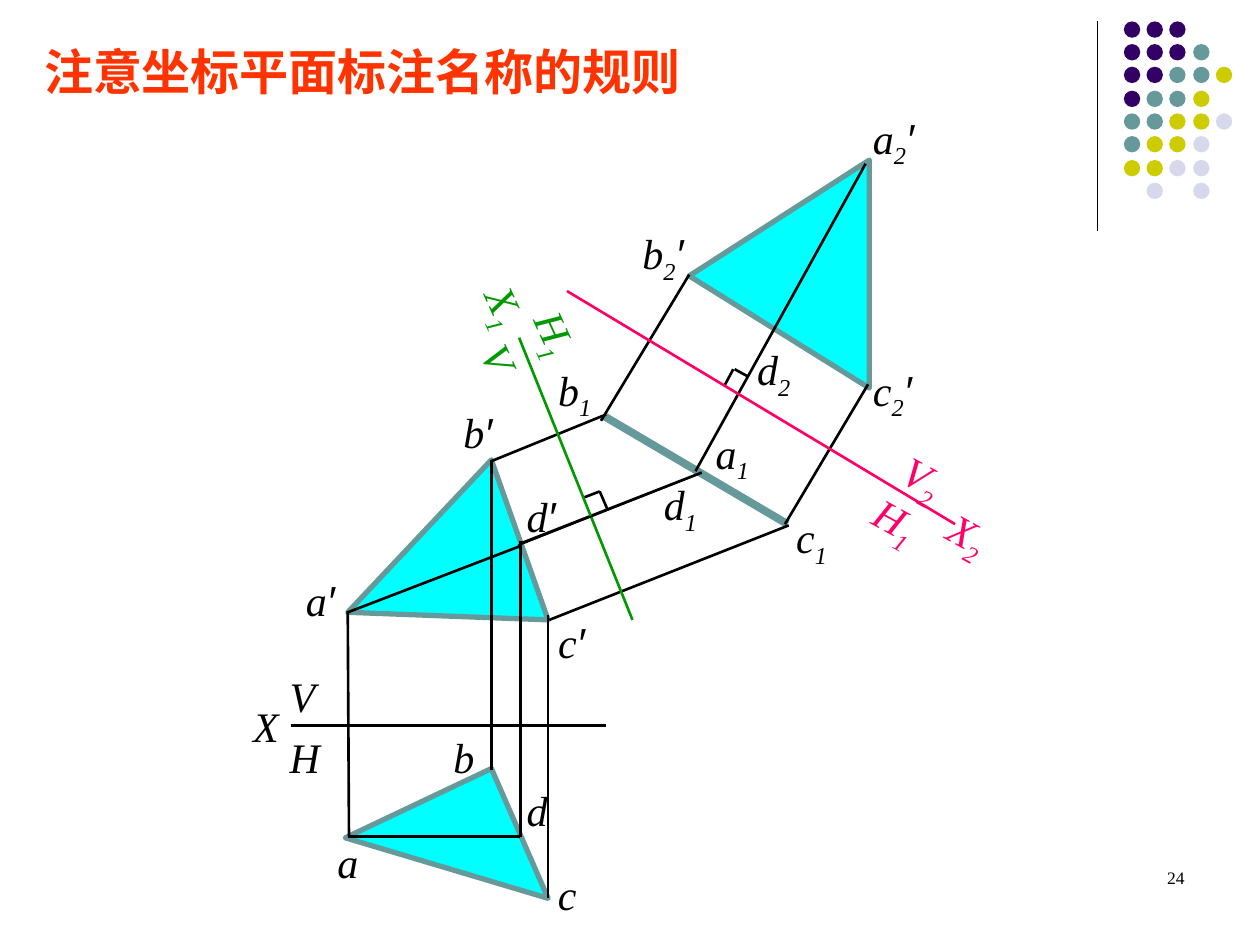
"""Build a slide on naming coordinate planes in successive projection changes."""
from typing import Any, NamedTuple

import pptx
import pptx.dml.color
import pptx.enum.shapes
import pptx.enum.text
import pptx.oxml.ns
import pptx.util
from lxml import etree

PX = 9144
COLORS = {
    "ink": "000000", "title": "FF3300", "face": "00FFFF", "edge": "669999",
    "first": "009900", "second": "FF0066",
    "P": "330066", "T": "669999", "Y": "CCCC00", "L": "D8D8EC",
}
DOT_ROWS = ["PPP", "PPPT", "PPTTY", "PTTY", "TTYYL", "TYYL", "YYLL", " L L"]
FRAME_FORMAT = {
    "word_wrap": True,
    "auto_size": pptx.enum.text.MSO_AUTO_SIZE.NONE,
    "vertical_anchor": pptx.enum.text.MSO_ANCHOR.TOP,
    "margin_left": 10 * PX, "margin_right": 10 * PX,
    "margin_top": 5 * PX, "margin_bottom": 5 * PX,
}
LABEL_FONT = {"name": "Times New Roman", "size": pptx.util.Pt(24), "italic": True}
PRIME_FONT = LABEL_FONT | {"name": "Arial"}
TITLE_FONT = {"name": "Arial", "size": pptx.util.Pt(28), "bold": True}
NUMBER_FONT = {"name": "Times New Roman", "size": pptx.util.Pt(10)}


class Segment(NamedTuple):
    x1: int
    y1: int
    x2: int
    y2: int
    color: str = "ink"
    weight: float = 1.5


class Label(NamedTuple):
    left: int
    top: int
    width: int
    letter: str
    index: str = ""
    prime: str = ""
    color: str = "ink"
    angle: float = 0
    inset: int = 10


TRIANGLES = [
    [(276, 486), (435, 492), (390, 365)],
    [(274, 665), (390, 610), (435, 713)],
    [(690, 127), (547, 219), (690, 308)],
]
SEGMENTS = [
    Segment(871, 17, 871, 183, weight=0.75),
    Segment(231, 576, 481, 576),
    Segment(276, 485, 277, 664),
    Segment(435, 488, 435, 713),
    Segment(390, 365, 390, 611),
    Segment(413, 429, 413, 664),
    Segment(276, 664, 413, 664),
    Segment(414, 433, 276, 486),
    Segment(479, 330, 625, 416, "edge", 4.5),
    Segment(414, 431, 557, 375),
    Segment(390, 366, 481, 329),
    Segment(436, 492, 626, 417),
    Segment(463, 395, 476, 390),
    Segment(476, 390, 482, 404),
    Segment(412, 268, 502, 492, "first"),
    Segment(411, 433, 555, 376, weight=1),
    Segment(623, 416, 689, 305),
    Segment(547, 218, 477, 334),
    Segment(552, 374, 687, 130),
    Segment(575, 306, 582, 293),
    Segment(583, 293, 594, 299),
    Segment(450, 231, 758, 416, "second"),
]
LABELS = [
    Label(233, 451, 99, "a", prime="′"),
    Label(425, 484, 61, "c", prime="′", inset=18),
    Label(191, 551, 89, "X"),
    Label(220, 527, 57, "V"),
    Label(220, 576, 57, "H"),
    Label(358, 318, 99, "b", prime="′"),
    Label(350, 576, 99, "b"),
    Label(258, 659, 50, "a"),
    Label(433, 684, 61, "c"),
    Label(400, 384, 61, "d", prime="′", inset=18),
    Label(400, 618, 61, "d", inset=18),
    Label(433, 284, 99, "b", "1", angle=359.6),
    Label(550, 334, 83, "a", "1", angle=359.6, inset=18),
    Label(622, 401, 61, "c", "1", angle=359.6),
    Label(517, 375, 83, "d", "1", angle=359.6),
    Label(363, 234, 89, "X", "1", color="first", angle=65.6),
    Label(402, 254, 89, "H", "1", color="first", angle=65.6),
    Label(372, 267, 56, "V", color="first", angle=65.6),
    Label(683, 84, 99, "a", "2", "′"),
    Label(683, 284, 92, "c", "2", "′"),
    Label(500, 176, 99, "b", "2", "′"),
    Label(591, 268, 75, "d", "2"),
    Label(740, 407, 89, "X", "2", color="second", angle=28.8),
    Label(704, 362, 89, "V", "2", color="second", angle=28.8),
    Label(682, 392, 74, "H", "1", color="second", angle=28.8),
]


def rgb(name: str) -> pptx.dml.color.RGBColor:
    """Look up a named colour."""
    return pptx.dml.color.RGBColor.from_string(COLORS[name])


def apply_format(target: Any, values: dict[str, Any]) -> None:
    """Set every attribute in the format values."""
    for attribute, value in values.items():
        setattr(target, attribute, value)


def add_run(paragraph: Any, text: str, font: dict[str, Any], color: str) -> Any:
    """Append one formatted run."""
    run = paragraph.add_run()
    run.text = text
    apply_format(run.font, font)
    run.font.color.rgb = rgb(color)
    return run


def draw_dots(slide: Any) -> None:
    """Draw the corner grid of dots."""
    for row, codes in enumerate(DOT_ROWS):
        for column, code in enumerate(codes):
            if code == " ":
                continue
            dot = slide.shapes.add_shape(
                pptx.enum.shapes.MSO_SHAPE.OVAL,
                (892 + column * 55 // 3) * PX, (17 + row * 55 // 3) * PX, 13 * PX, 13 * PX)
            dot.shadow.inherit = False
            dot.fill.solid()
            dot.fill.fore_color.rgb = rgb(code)
            dot.line.fill.background()


def draw_triangle(slide: Any, corners: list[tuple[int, int]]) -> None:
    """Draw one projection of the triangle."""
    builder = slide.shapes.build_freeform(*corners[0], scale=PX)
    builder.add_line_segments(corners[1:], close=True)
    triangle = builder.convert_to_shape()
    triangle.shadow.inherit = False
    triangle.fill.solid()
    triangle.fill.fore_color.rgb = rgb("face")
    triangle.line.color.rgb = rgb("edge")
    triangle.line.width = pptx.util.Pt(3)


def draw_segment(slide: Any, segment: Segment) -> None:
    """Draw one straight line."""
    line = slide.shapes.add_connector(
        pptx.enum.shapes.MSO_CONNECTOR.STRAIGHT,
        segment.x1 * PX, segment.y1 * PX, segment.x2 * PX, segment.y2 * PX)
    line.line.color.rgb = rgb(segment.color)
    line.line.width = pptx.util.Pt(segment.weight)
    etree.SubElement(line._element.spPr, pptx.oxml.ns.qn("a:effectLst"))


def draw_label(slide: Any, label: Label) -> None:
    """Write a point or plane name with its index and prime."""
    height = 56 if label.index else 50
    box = slide.shapes.add_textbox(
        label.left * PX, label.top * PX, label.width * PX, height * PX)
    box.rotation = label.angle
    apply_format(box.text_frame, FRAME_FORMAT | {"margin_left": label.inset * PX})
    paragraph = box.text_frame.paragraphs[0]
    add_run(paragraph, label.letter, LABEL_FONT, label.color)
    if label.index:
        index = add_run(paragraph, label.index, LABEL_FONT, label.color)
        index._r.get_or_add_rPr().set("baseline", "-25000")
    if label.prime:
        add_run(paragraph, label.prime, PRIME_FONT, label.color)


def main() -> None:
    """Assemble and save the slide."""
    deck = pptx.Presentation()
    apply_format(deck, {"slide_width": 1000 * PX, "slide_height": 750 * PX})
    slide = deck.slides.add_slide(deck.slide_layouts[5])
    draw_dots(slide)
    for corners in TRIANGLES:
        draw_triangle(slide, corners)
    for segment in SEGMENTS:
        draw_segment(slide, segment)
    for label in LABELS:
        draw_label(slide, label)

    title = slide.shapes.title
    apply_format(title, {"left": 25 * PX, "top": 28 * PX, "width": 794 * PX, "height": 57 * PX})
    number = slide.shapes.add_textbox(717 * PX, 683 * PX, 233 * PX, 50 * PX)
    for box, text, font, color, align in [
        (title, "注意坐标平面标注名称的规则", TITLE_FONT, "title", pptx.enum.text.PP_ALIGN.LEFT),
        (number, "24", NUMBER_FONT, "ink", pptx.enum.text.PP_ALIGN.RIGHT),
    ]:
        apply_format(box.text_frame, FRAME_FORMAT)
        paragraph = box.text_frame.paragraphs[0]
        paragraph.alignment = align
        add_run(paragraph, text, font, color)
    deck.save("out.pptx")


if __name__ == "__main__":
    main()
